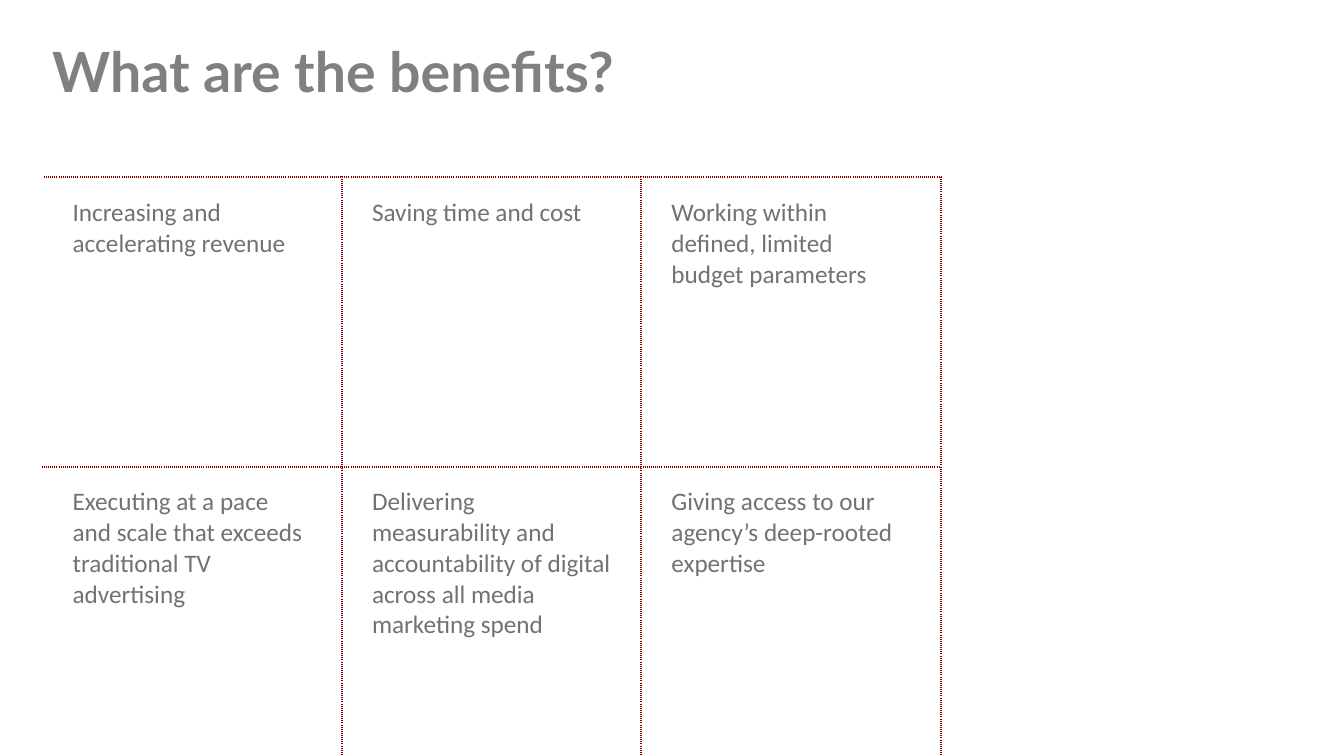
from lxml import etree
from pptx import Presentation
from pptx.dml.color import RGBColor
from pptx.enum.text import MSO_ANCHOR
from pptx.oxml import parse_xml
from pptx.oxml.ns import nsdecls
from pptx.util import Inches, Pt

COLORS = {"title": "808080", "benefit": "767171", "rule": "800000"}
BENEFITS = [
    ["Increasing and accelerating revenue",
     "Saving time and cost",
     "Working within defined, limited budget parameters"],
    ["Executing at a pace and scale that exceeds traditional TV advertising",
     "Delivering measurability and accountability of digital across all media marketing spend",
     "Giving access to our agency’s deep-rooted expertise"],
]
GRID_COLUMNS = 4


def style_run(run, font, size, color, bold=False):
    run.font.name = font
    run.font.size = Pt(size)
    run.font.bold = bold
    run.font.color.rgb = RGBColor.from_string(COLORS[color])


def add_heading(slide, left, top, width, height):
    frame = slide.shapes.add_textbox(
        Inches(left), Inches(top), Inches(width), Inches(height)).text_frame
    frame.word_wrap = True
    frame.vertical_anchor = MSO_ANCHOR.MIDDLE
    frame.text = "What are the benefits?"
    line = frame.paragraphs[0]
    line.line_spacing = 0.9
    style_run(line.runs[0], "Lato", 39.6, "title", bold=True)


def add_dotted_borders(cell, sides):
    properties = cell._tc.get_or_add_tcPr()
    for position, side in enumerate(sides):
        border = parse_xml(
            f'<a:ln{side} {nsdecls("a")} w="{Pt(1.5)}"><a:solidFill>'
            f'<a:srgbClr val="{COLORS["rule"]}"/></a:solidFill>'
            f'<a:prstDash val="dot"/></a:ln{side}>')
        properties.insert(position, border)


def fill_benefit(cell, benefit):
    cell.margin_left = cell.margin_right = Inches(0.3)
    cell.margin_top = Inches(0.2)
    cell.margin_bottom = Inches(0.05)
    cell.text = benefit
    style_run(cell.text_frame.paragraphs[0].runs[0], "Calibri", 18, "benefit")


def add_benefits_grid(slide, left, top, width, height):
    grid = slide.shapes.add_table(
        len(BENEFITS), GRID_COLUMNS,
        Inches(left), Inches(top), Inches(width), Inches(height)).table
    grid.first_row = False
    grid.horz_banding = False
    for column in grid.columns:
        column.width = Inches(width / GRID_COLUMNS)
    for cell in grid.iter_cells():
        cell.fill.background()
    for r, benefits in enumerate(BENEFITS):
        for c, benefit in enumerate(benefits):
            cell = grid.cell(r, c)
            fill_benefit(cell, benefit)
            drawn = {"L": c > 0, "R": c < len(benefits) - 1,
                     "T": True, "B": r < len(BENEFITS) - 1}
            add_dotted_borders(cell, [side for side in drawn if drawn[side]])


def main():
    deck = Presentation()
    deck.slide_width = Inches(13.33)
    deck.slide_height = Inches(7.5)
    slide = deck.slides.add_slide(deck.slide_layouts[6])
    add_heading(slide, 0.42, 0.36, 12.44, 0.76)
    add_benefits_grid(slide, 0.42, 1.76, 11.88, 5.74)
    deck.save("out.pptx")


if __name__ == "__main__":
    main()
